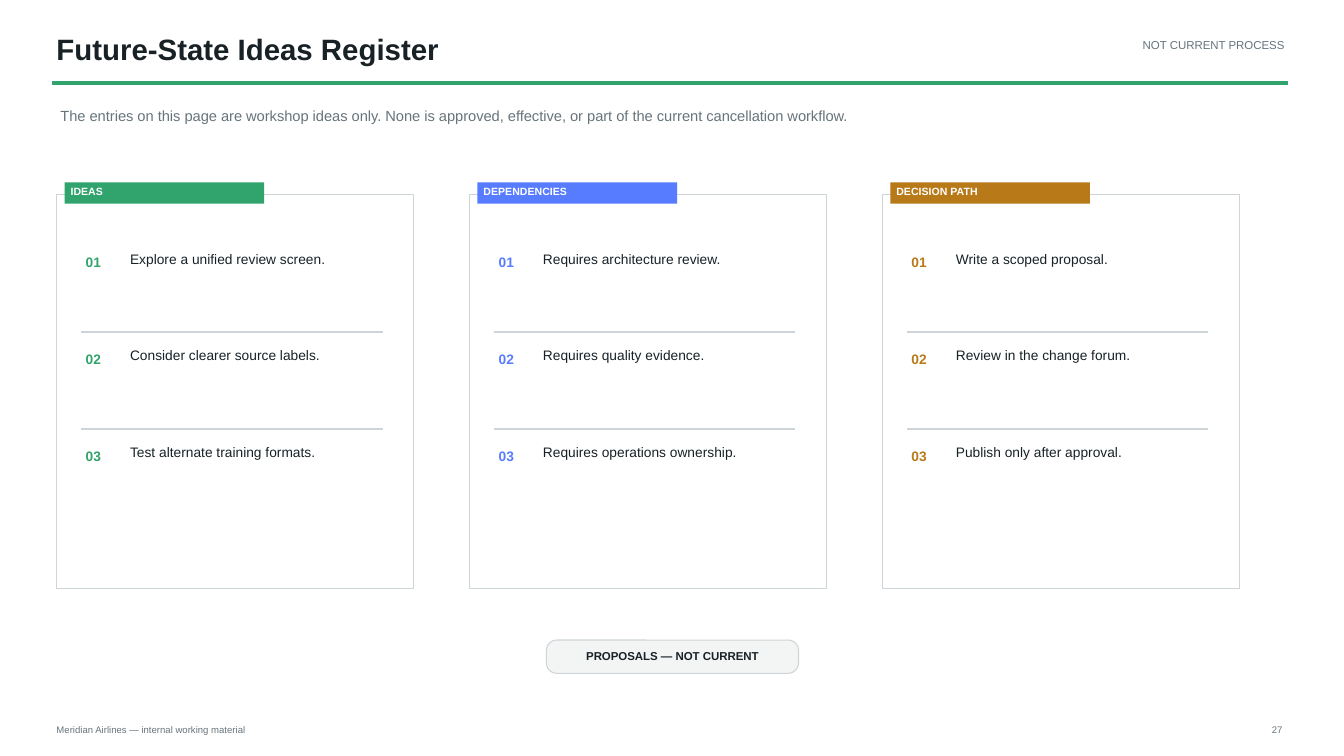
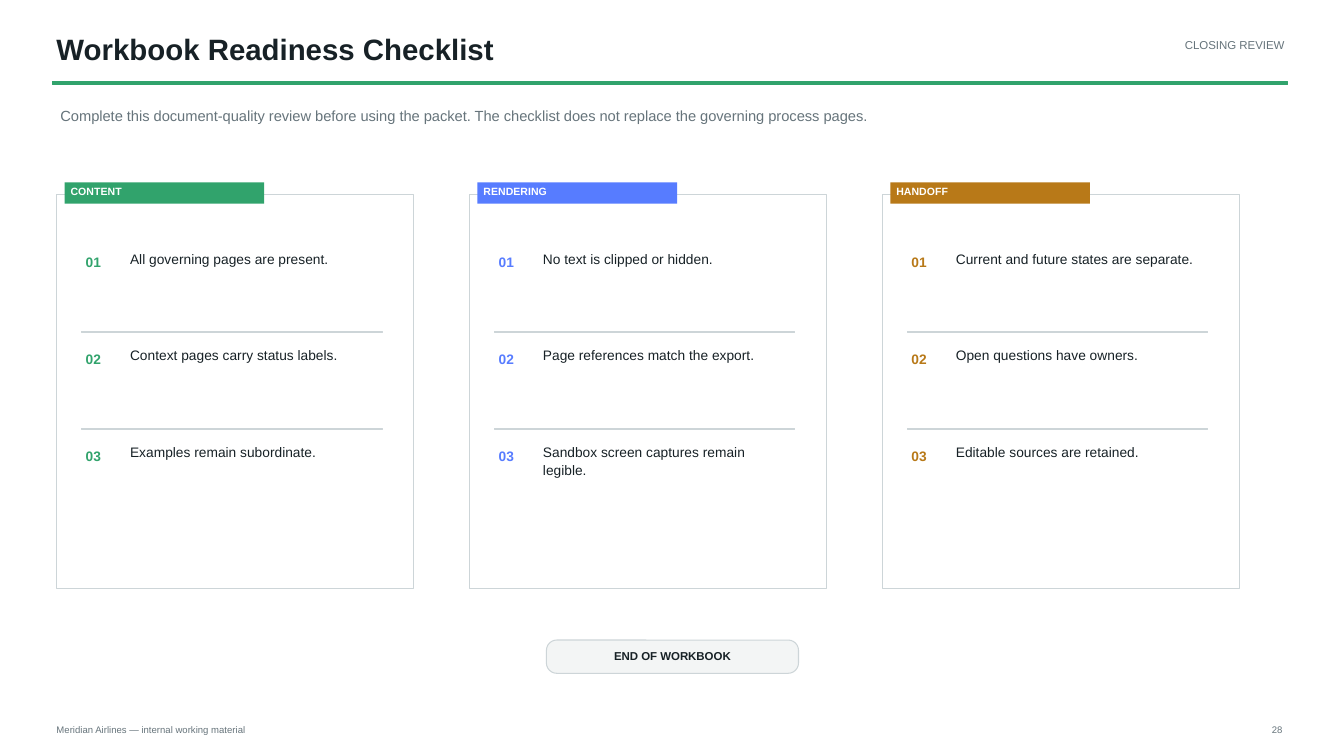
from pptx import Presentation
from pptx.dml.color import RGBColor
from pptx.enum.shapes import MSO_SHAPE as Shape
from pptx.enum.text import MSO_ANCHOR as Anchor, PP_ALIGN as Align
from pptx.util import Inches, Pt

FONT = "Arial"
INK, MUTED, LINE, PALE, WHITE = "172126", "66747B", "CDD5D8", "F3F5F5", "FFFFFF"
GREEN, BLUE, AMBER = "31A36C", "577CFF", "B87918"
ACCENTS = (GREEN, BLUE, AMBER)

TEXT_INSETS = (0.04, 0.02, 0.04, 0.02)
TAG_INSETS = (0.06, 0.03, 0.06, 0.02)
BADGE_INSETS = (0.06, 0.03, 0.06, 0.03)

FOOTER = "Meridian Airlines — internal working material"
FIRST_CARD, LAST_CARD, CARD_TOP = 0.56, 8.75, 1.93
CARD_PITCH = (LAST_CARD - FIRST_CARD) / (len(ACCENTS) - 1)
ITEM_PITCH = 0.96

PAGES = [
    {
        "number": 27,
        "title": "Future-State Ideas Register",
        "status": "NOT CURRENT PROCESS",
        "intro": "The entries on this page are workshop ideas only. None is approved, "
                 "effective, or part of the current cancellation workflow.",
        "cards": [
            ("IDEAS", ["Explore a unified review screen.",
                       "Consider clearer source labels.",
                       "Test alternate training formats."]),
            ("DEPENDENCIES", ["Requires architecture review.",
                              "Requires quality evidence.",
                              "Requires operations ownership."]),
            ("DECISION PATH", ["Write a scoped proposal.",
                               "Review in the change forum.",
                               "Publish only after approval."]),
        ],
        "badge": "PROPOSALS — NOT CURRENT",
    },
    {
        "number": 28,
        "title": "Workbook Readiness Checklist",
        "status": "CLOSING REVIEW",
        "intro": "Complete this document-quality review before using the packet. "
                 "The checklist does not replace the governing process pages.",
        "cards": [
            ("CONTENT", ["All governing pages are present.",
                         "Context pages carry status labels.",
                         "Examples remain subordinate."]),
            ("RENDERING", ["No text is clipped or hidden.",
                           "Page references match the export.",
                           "Sandbox screen captures remain legible."]),
            ("HANDOFF", ["Current and future states are separate.",
                         "Open questions have owners.",
                         "Editable sources are retained."]),
        ],
        "badge": "END OF WORKBOOK",
    },
]


def color(value):
    return RGBColor.from_string(value)


class Workbook:
    """Holds the presentation, its style and the slide being built."""

    def __init__(self):
        self.presentation = Presentation()
        self.presentation.slide_width = Inches(13.33)
        self.presentation.slide_height = Inches(7.5)
        self.slide = None

    def set_text(self, shape, text, size, ink, bold=False, align=Align.LEFT,
                 insets=TEXT_INSETS, anchor=Anchor.TOP, spacing=None):
        frame = shape.text_frame
        frame.word_wrap = True
        frame.vertical_anchor = anchor
        (frame.margin_left, frame.margin_top,
         frame.margin_right, frame.margin_bottom) = map(Inches, insets)
        paragraph = frame.paragraphs[0]
        paragraph.text = text
        paragraph.alignment = align
        paragraph.line_spacing = spacing
        font = paragraph.font
        font.name, font.size, font.bold = FONT, Pt(size), bold
        font.color.rgb = color(ink)

    def text(self, box, text, size, ink, **style):
        shape = self.slide.shapes.add_textbox(*map(Inches, box))
        self.set_text(shape, text, size, ink, **style)

    def block(self, box, fill=None, line=None, width=0.75, kind=Shape.RECTANGLE):
        shape = self.slide.shapes.add_shape(kind, *map(Inches, box))
        shape.shadow.inherit = False
        if fill:
            shape.fill.solid()
            shape.fill.fore_color.rgb = color(fill)
        else:
            shape.fill.background()
        if line:
            shape.line.color.rgb = color(line)
            shape.line.width = Pt(width)
        else:
            shape.line.fill.background()
        return shape

    def rule(self, box, ink):
        """Draw a thin bar with a hairline edge."""
        self.block(box, fill=ink, line=ink, width=0)

    def header(self, title, status, intro):
        self.text((0.52, 0.29, 8.85, 0.44), title, 21, INK, bold=True)
        self.text((9.4, 0.36, 3.38, 0.31), status, 8.2, MUTED, align=Align.RIGHT)
        self.rule((0.52, 0.81, 12.25, 0.03), GREEN)
        self.text((0.56, 1.04, 11.67, 0.44), intro, 10.5, MUTED)

    def item(self, left, top, number, text, accent):
        self.text((left, top + 0.05, 0.35, 0.29), f"{number:02d}", 9.8, accent, bold=True)
        self.text((left + 0.44, top, 2.55, 0.69), text, 9.8, INK, spacing=1.08)

    def card(self, left, label, items, accent):
        self.block((left, CARD_TOP, 3.54, 3.91), line=LINE)
        tag = self.block((left + 0.08, CARD_TOP - 0.12, 1.98, 0.21), fill=accent)
        self.set_text(tag, label, 7.5, WHITE, bold=True, insets=TAG_INSETS)
        item_left = left + 0.25
        for index, text in enumerate(items):
            top = CARD_TOP + 0.52 + index * ITEM_PITCH
            if index:
                self.rule((item_left, top - 0.12, 2.98, 0.01), LINE)
            self.item(item_left, top, index + 1, text, accent)

    def badge(self, text):
        shape = self.block((5.42, 6.35, 2.5, 0.33), PALE, LINE,
                           kind=Shape.ROUNDED_RECTANGLE)
        shape.adjustments[0] = 0.31
        self.set_text(shape, text, 8.2, INK, bold=True, align=Align.CENTER,
                      insets=BADGE_INSETS, anchor=Anchor.MIDDLE, spacing=0.96)

    def footer(self, number):
        self.text((0.52, 7.16, 3.12, 0.19), FOOTER, 6.8, MUTED)
        self.text((12.24, 7.16, 0.52, 0.19), str(number), 6.8, MUTED, align=Align.RIGHT)

    def page(self, number, title, status, intro, cards, badge):
        blank = self.presentation.slide_layouts[6]
        self.slide = self.presentation.slides.add_slide(blank)
        self.header(title, status, intro)
        for index, ((label, items), accent) in enumerate(zip(cards, ACCENTS)):
            self.card(FIRST_CARD + index * CARD_PITCH, label, items, accent)
        self.badge(badge)
        self.footer(number)


def main():
    workbook = Workbook()
    for page in PAGES:
        workbook.page(**page)
    workbook.presentation.save("out.pptx")


if __name__ == "__main__":
    main()
